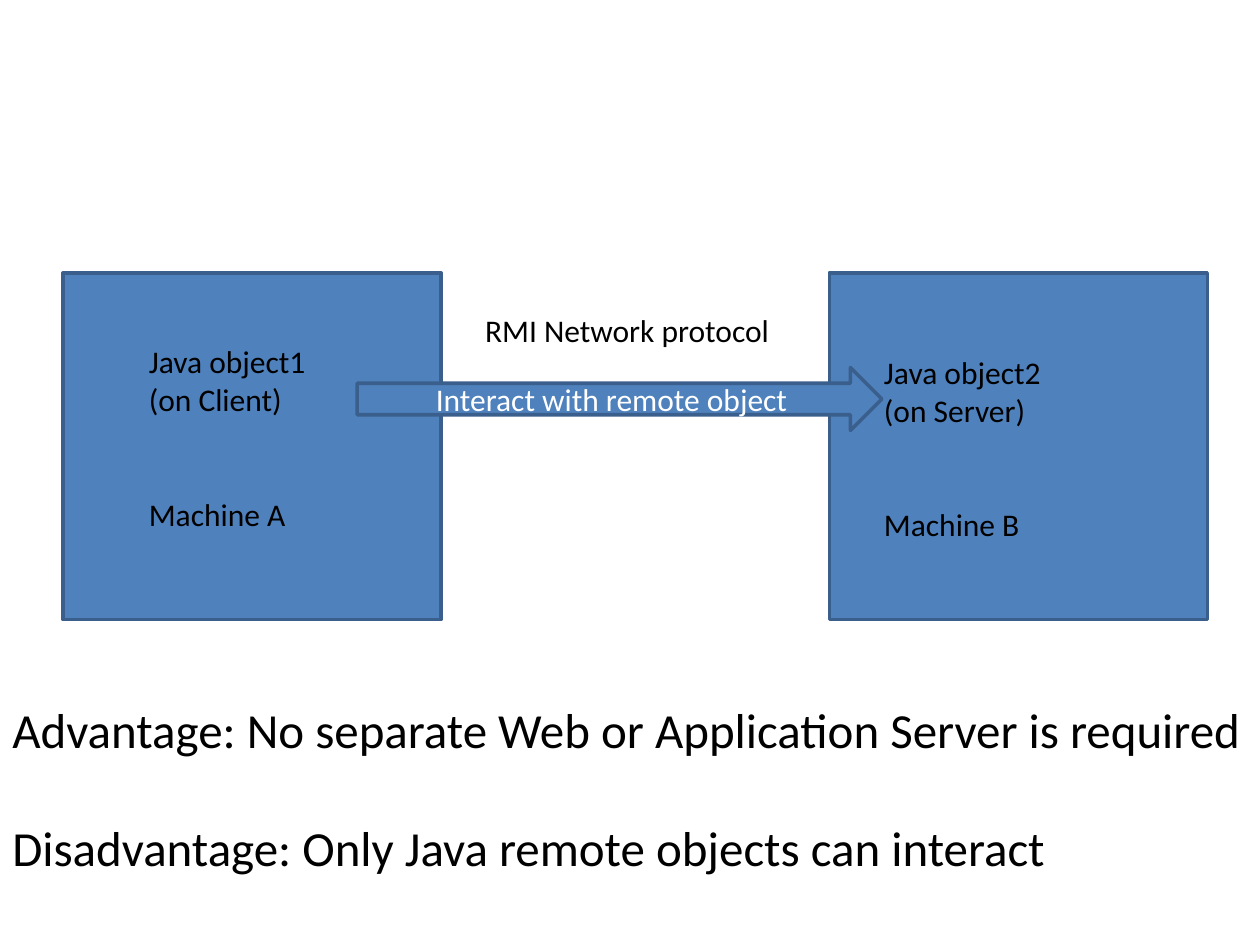
from pptx import Presentation
from pptx.dml.color import RGBColor
from pptx.enum.shapes import MSO_SHAPE
from pptx.enum.text import MSO_ANCHOR, MSO_AUTO_SIZE, PP_ALIGN
from pptx.util import Cm, Pt

RECT, ARROW = MSO_SHAPE.RECTANGLE, MSO_SHAPE.RIGHT_ARROW
MIDDLE = MSO_ANCHOR.MIDDLE
GROW = MSO_AUTO_SIZE.SHAPE_TO_FIT_TEXT
LEFT, CENTER = PP_ALIGN.LEFT, PP_ALIGN.CENTER
FONT = "Calibri"
COLORS = {"fill": "4F81BD", "edge": "3A5F8C", "dark": "000000", "light": "FFFFFF"}


def color(name):
    """Return the named colour."""
    return RGBColor.from_string(COLORS[name])


def write(frame, lines, size=18, tint="dark", align=LEFT, gap=0):
    """Write one paragraph per line, with a gap in points above the last."""
    frame.word_wrap = True
    for i, line in enumerate(lines):
        para = frame.paragraphs[0] if i == 0 else frame.add_paragraph()
        para.alignment = align
        run = para.add_run()
        run.text = line
        run.font.name = FONT
        run.font.size = Pt(size)
        run.font.color.rgb = color(tint)
    if gap:
        para.space_before = Pt(gap)


def add_block(slide, kind, left, top, width, height):
    """Add a filled and outlined shape, placed in centimetres."""
    block = slide.shapes.add_shape(kind, Cm(left), Cm(top), Cm(width), Cm(height))
    block.shadow.inherit = False
    block.fill.solid()
    block.fill.fore_color.rgb = color("fill")
    block.line.color.rgb = color("edge")
    block.line.width = Pt(2)
    return block


def add_label(slide, lines, left, top, width, height, size=18, gap=0):
    """Add a text box, placed in centimetres."""
    box = slide.shapes.add_textbox(Cm(left), Cm(top), Cm(width), Cm(height))
    write(box.text_frame, lines, size, gap=gap)
    box.text_frame.auto_size = GROW


def main():
    """Build and save the slide."""
    deck = Presentation()
    deck.slide_width, deck.slide_height = Cm(25.4), Cm(19.05)
    slide = deck.slides.add_slide(deck.slide_layouts[6])

    for left in (1.27, 16.72):
        add_block(slide, RECT, left, 5.5, 7.62, 6.99)

    hosts = [
        (2.75, 6.77, "Java object1", "(on Client)", "Machine A"),
        (17.57, 6.99, "Java object2", "(on Server)", "Machine B"),
    ]
    for left, top, *lines in hosts:
        add_label(slide, lines, left, top, 4.23, 4.11, gap=44)

    add_label(slide, ["RMI Network protocol"], 9.53, 6.14, 6.35, 1.07)
    arrow = add_block(slide, ARROW, 7.2, 7.41, 10.58, 1.27)
    write(arrow.text_frame, ["Interact with remote object"], tint="light", align=CENTER)
    arrow.text_frame.vertical_anchor = MIDDLE

    notes = [
        "Advantage: No separate Web or Application Server is required",
        "Disadvantage: Only Java remote objects can interact",
    ]
    add_label(slide, notes, 0, 13.97, 25.4, 3.84, size=28, gap=34)
    deck.save("out.pptx")


main()
